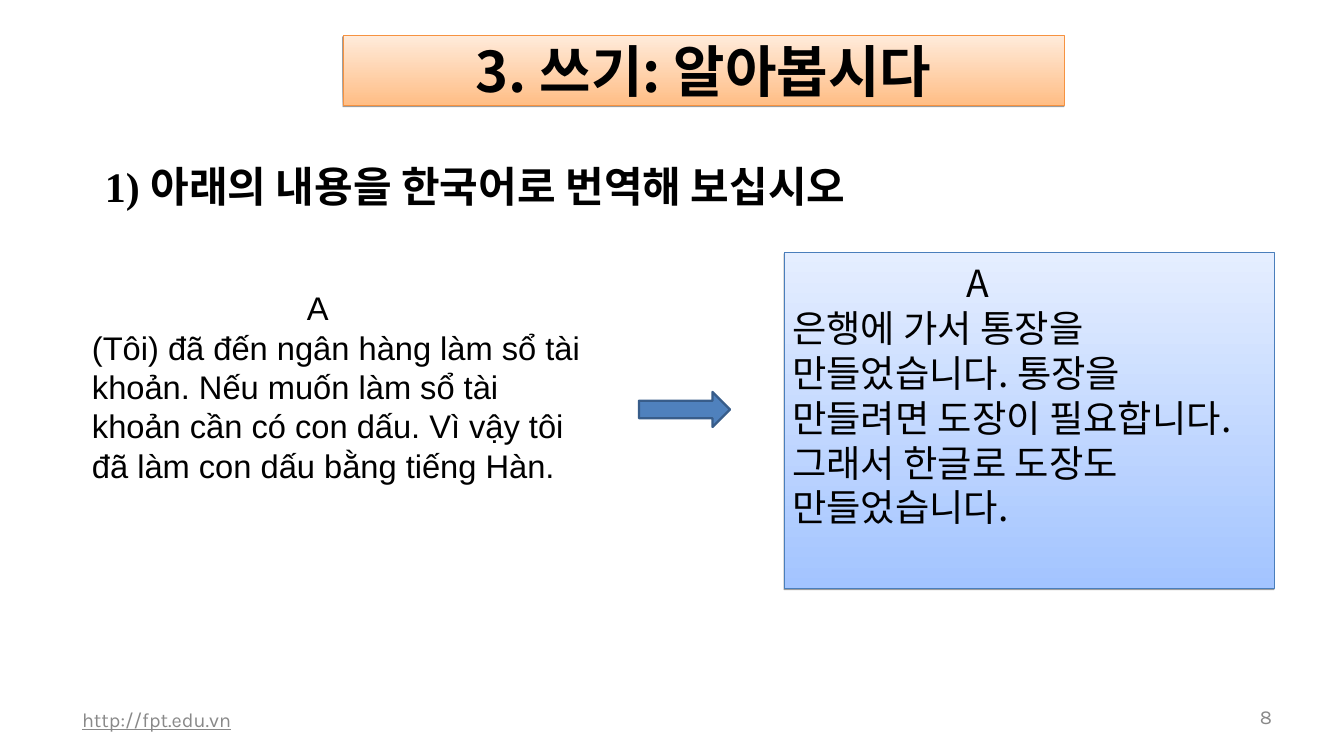
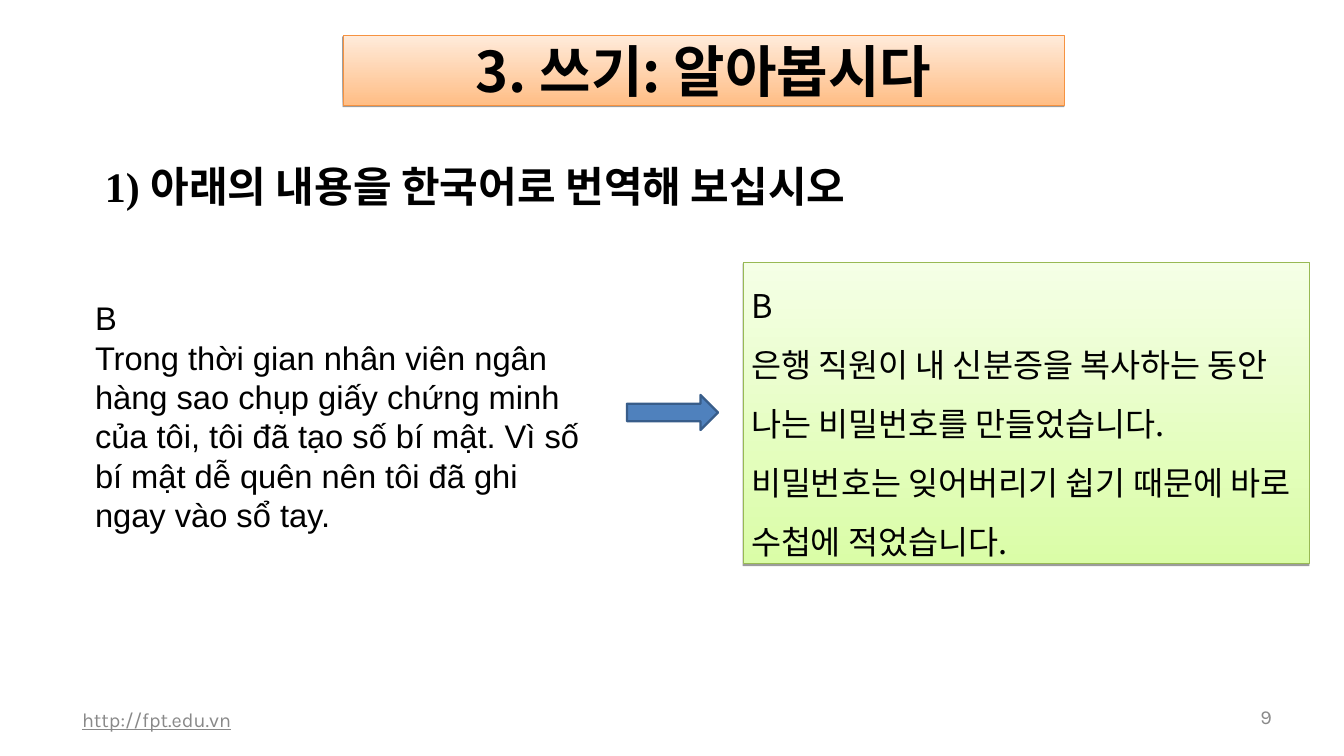
"""Builds two Korean translation exercise pages."""
from dataclasses import dataclass

from lxml import etree
from pptx import Presentation
from pptx.dml.color import RGBColor
from pptx.enum import shapes, text
from pptx.oxml.ns import qn
from pptx.util import Emu, Pt

SCALE = 914400 / 84


@dataclass(frozen=True)
class Tint:
    bottom: str
    top: str
    edge: str


@dataclass(frozen=True)
class Theme:
    ink: str = "000000"
    muted: str = "898989"
    arrow: str = "4F81BD"
    arrow_edge: str = "385D8A"
    orange: Tint = Tint("FFBE86", "FFEBDB", "F69240")
    blue: Tint = Tint("A3C4FF", "E5EEFF", "4A7EBB")
    green: Tint = Tint("DAFDA7", "F5FFE6", "98B954")
    korean: str = "Noto Sans CJK KR"
    serif: str = "Times New Roman"
    sans: str = "Arial"
    footer: str = "Karla"
    title_size: int = 48
    heading_size: int = 36
    large_size: int = 32
    body_size: int = 28
    footer_size: int = 17


@dataclass(frozen=True)
class Area:
    left: int
    top: int
    width: int
    height: int

    def emu(self) -> list[Emu]:
        return [px(n) for n in (self.left, self.top, self.width, self.height)]


@dataclass(frozen=True)
class Passage:
    area: Area
    words: str
    size: int
    leading: float
    first_indent: int = 0
    inset: tuple[int, int] = (8, 8)


@dataclass(frozen=True)
class Exercise:
    number: int
    question: Passage
    answer: Passage
    tint: Tint
    arrow: Area


THEME = Theme()
EXERCISES = [
    Exercise(
        8,
        Passage(
            Area(84, 280, 512, 308),
            "A\v(Tôi) đã đến ngân hàng làm sổ tài khoản. Nếu muốn làm sổ tài khoản "
            "cần có con dấu. Vì vậy tôi đã làm con dấu bằng tiếng Hàn.",
            THEME.body_size, 33.7, first_indent=215),
        Passage(
            Area(784, 252, 490, 336),
            "A\v은행에 가서 통장을 만들었습니다. 통장을 만들려면 도장이 필요합니다. "
            "그래서 한글로 도장도 만들었습니다.",
            THEME.large_size, 38.5, first_indent=174),
        THEME.blue,
        Area(639, 392, 91, 35)),
    Exercise(
        9,
        Passage(
            Area(87, 290, 501, 211),
            "B\vTrong thời gian nhân viên ngân hàng sao chụp giấy chứng minh của tôi, "
            "tôi đã tạo số bí mật. Vì số bí mật dễ quên nên tôi đã ghi ngay vào sổ tay.",
            THEME.body_size, 33.7),
        Passage(
            Area(743, 262, 566, 302),
            "B\v은행 직원이 내 신분증을 복사하는 동안 나는 비밀번호를 만들었습니다. "
            "비밀번호는 잊어버리기 쉽기 때문에 바로 수첩에 적었습니다.",
            THEME.body_size, 50.6, inset=(8, 4)),
        THEME.green,
        Area(627, 395, 91, 35)),
]


def px(length: int) -> Emu:
    return Emu(round(length * SCALE))


def rgb(value: str) -> RGBColor:
    return RGBColor.from_string(value)


def write(box, words: str, *, font: str, size: int, color: str = THEME.ink,
          bold: bool = False, underline: bool = False,
          align=text.PP_ALIGN.LEFT, anchor=text.MSO_ANCHOR.TOP,
          inset: tuple[int, int] = (8, 8), leading: float | None = None,
          margin: int = 0, first_indent: int = 0) -> None:
    frame = box.text_frame
    frame.word_wrap = True
    frame.vertical_anchor = anchor
    frame.margin_left = frame.margin_right = px(inset[0])
    frame.margin_top = frame.margin_bottom = px(inset[1])
    para = frame.paragraphs[0]
    para.text = words
    para.alignment = align
    if leading:
        para.line_spacing = Pt(leading)
    properties = para._p.get_or_add_pPr()
    properties.set("marL", str(px(margin)))
    properties.set("indent", str(px(first_indent)))
    for span in para.runs:
        span.font.name = font
        span.font.size = Pt(size)
        span.font.bold = bold
        span.font.underline = underline
        span.font.color.rgb = rgb(color)
        east_asian = etree.SubElement(span._r.get_or_add_rPr(), qn("a:ea"))
        east_asian.set("typeface", THEME.korean)


def add_text(page, area: Area, words: str, **style) -> None:
    write(page.shapes.add_textbox(*area.emu()), words, **style)


def add_panel(page, area: Area, tint: Tint, words: str, **style) -> None:
    panel = page.shapes.add_shape(shapes.MSO_SHAPE.RECTANGLE, *area.emu())
    panel.shadow.inherit = False
    panel.fill.gradient()
    panel.fill.gradient_angle = 90
    for stop, color in zip(panel.fill.gradient_stops, (tint.bottom, tint.top)):
        stop.color.rgb = rgb(color)
    panel.line.color.rgb = rgb(tint.edge)
    panel.line.width = Pt(0.75)
    effects = panel._element.spPr.find(qn("a:effectLst"))
    shadow = etree.SubElement(effects, qn("a:outerShdw"), blurRad="0",
                              dist=str(Pt(1.6)), dir="5400000", rotWithShape="0")
    black = etree.SubElement(shadow, qn("a:srgbClr"), val=THEME.ink)
    etree.SubElement(black, qn("a:alpha"), val="38000")
    write(panel, words, font=THEME.korean, **style)


def add_arrow(page, area: Area) -> None:
    arrow = page.shapes.add_shape(shapes.MSO_SHAPE.RIGHT_ARROW, *area.emu())
    arrow.shadow.inherit = False
    arrow.fill.solid()
    arrow.fill.fore_color.rgb = rgb(THEME.arrow)
    arrow.line.color.rgb = rgb(THEME.arrow_edge)
    arrow.line.width = Pt(2)


def add_frame(page, number: int) -> None:
    footer = dict(font=THEME.footer, size=THEME.footer_size, color=THEME.muted,
                  anchor=text.MSO_ANCHOR.MIDDLE, inset=(12, 6))
    add_text(page, Area(70, 700, 426, 40), "http://fpt.edu.vn",
             underline=True, **footer)
    add_text(page, Area(1218, 700, 66, 34), str(number),
             align=text.PP_ALIGN.RIGHT, **footer)
    add_panel(page, Area(343, 35, 721, 70), THEME.orange, "3. 쓰기: 알아봅시다",
              size=THEME.title_size, bold=True, align=text.PP_ALIGN.CENTER,
              anchor=text.MSO_ANCHOR.MIDDLE, inset=(8, 4))
    add_text(page, Area(90, 149, 813, 50), "1) 아래의 내용을 한국어로 번역해 보십시오",
             font=THEME.serif, size=THEME.heading_size, bold=True,
             leading=46, margin=7)


def passage_style(passage: Passage) -> dict:
    return dict(size=passage.size, leading=passage.leading,
                first_indent=passage.first_indent, inset=passage.inset)


def add_exercise(page, exercise: Exercise) -> None:
    question, answer = exercise.question, exercise.answer
    add_frame(page, exercise.number)
    add_text(page, question.area, question.words, font=THEME.sans,
             **passage_style(question))
    add_panel(page, answer.area, exercise.tint, answer.words,
              **passage_style(answer))
    add_arrow(page, exercise.arrow)


def main() -> None:
    deck = Presentation()
    deck.slide_width, deck.slide_height = px(1344), px(756)
    for exercise in EXERCISES:
        add_exercise(deck.slides.add_slide(deck.slide_layouts[6]), exercise)
    deck.save("out.pptx")


if __name__ == "__main__":
    main()
